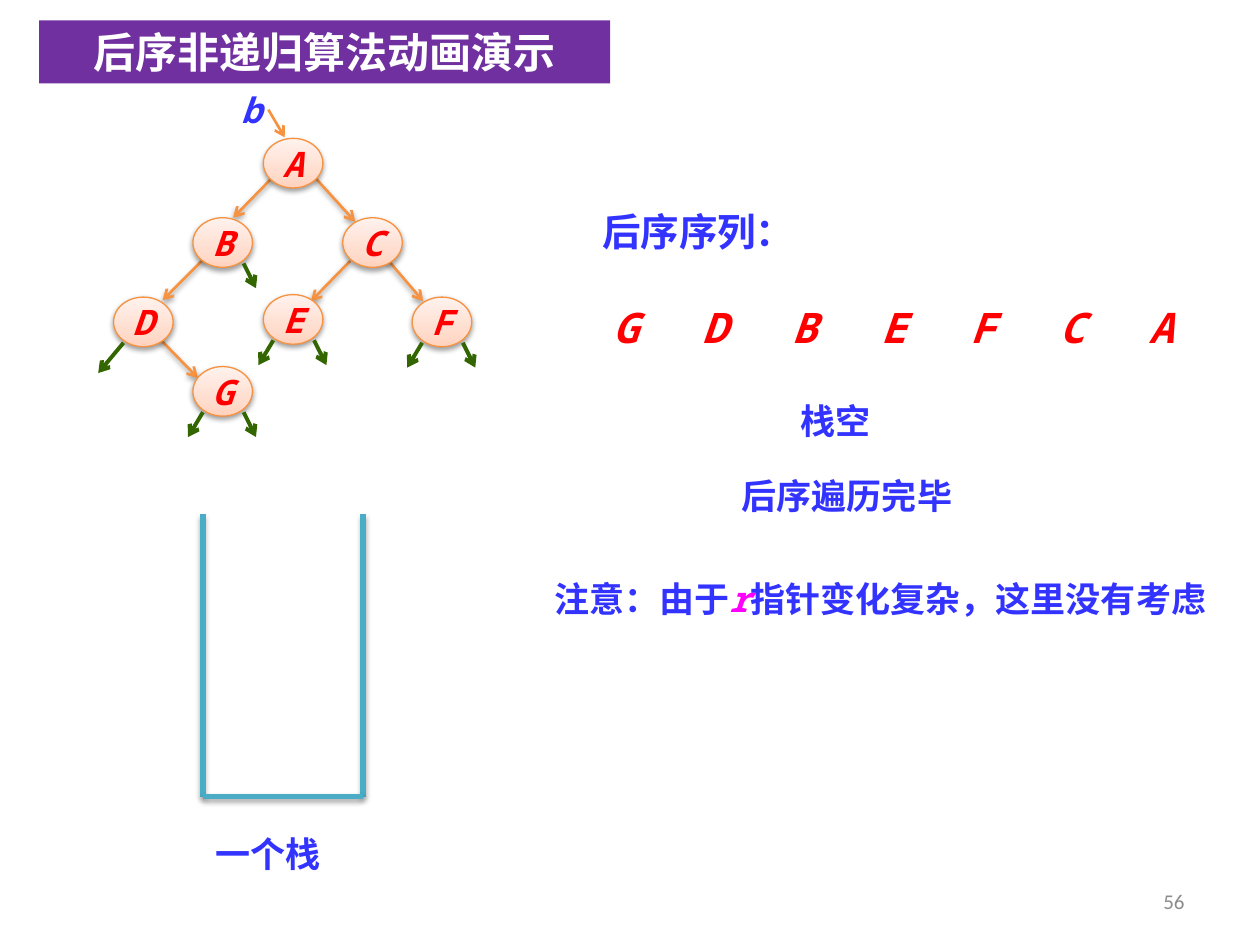
from copy import deepcopy

from lxml.etree import SubElement
from pptx import Presentation
from pptx.dml.color import RGBColor
from pptx.enum.shapes import MSO_CONNECTOR, MSO_SHAPE
from pptx.enum.text import MSO_ANCHOR, MSO_AUTO_SIZE, PP_ALIGN
from pptx.oxml.ns import qn
from pptx.util import Cm, Pt

MONO = "Noto Sans Mono"
BLUE, RED, MAGENTA = "3333FF", "FF0000", "FF00FF"
ORANGE, GREEN, TEAL = "F69240", "336600", "4BACC6"
NODE_STOPS = [(0, "FFD2BD"), (0.35, "FFDED0"), (1, "FFF2ED")]
INSET = 0.25

# All lengths are in centimetres.
NODE_W, NODE_H = 1.2, 1.0
nodes = {
    "A": (5.31, 2.79),
    "B": (3.89, 4.39),
    "C": (6.91, 4.39),
    "D": (2.29, 5.99),
    "E": (5.31, 5.94),
    "F": (8.31, 5.99),
    "G": (3.89, 7.39),
}
tree_links = [
    (5.49, 3.58, 4.7, 4.39),    # A to B
    (6.35, 3.58, 7.16, 4.47),   # A to C
    (4.17, 5.16, 3.28, 6.05),   # B to D
    (7.06, 5.26, 6.27, 6.07),   # C to E
    (7.75, 5.16, 8.53, 6.07),   # C to F
    (3.2, 6.81, 3.99, 7.62),    # D to G
]
root_pointer = (5.41, 2.21, 5.74, 2.77)

# Empty child pointers: start offset inside the node, then run and drop
LEFT, RIGHT = (0.2, 0.92, -0.3, 0.5), (1.02, 0.92, 0.25, 0.5)
WIDE_LEFT = (0.2, 0.92, -0.51, 0.61)
empty_links = [("B", RIGHT), ("D", WIDE_LEFT), ("G", LEFT), ("G", RIGHT),
               ("E", LEFT), ("E", RIGHT), ("F", LEFT), ("F", RIGHT)]

STACK_LEFT, STACK_RIGHT, STACK_TOP, STACK_BOTTOM = 4.09, 7.32, 10.36, 16.06

postorder = "GDBEFCA"
ORDER_LEFT, ORDER_TOP, ORDER_STEP = 12.01, 6.07, 1.8

labels = [
    ("一个栈", (4.09, 16.66, 3.2, 1.12), {}),
    ("后序序列：", (11.68, 4.06, 4.8, 1.19), {"size": 22, "align": PP_ALIGN.CENTER}),
    ("后序遍历完毕", (13.28, 9.45, 7.59, 1.12), {"align": PP_ALIGN.CENTER}),
    ("b", (4.57, 1.78, 1, 0.86),
     {"italic": True, "inset": 0, "align": PP_ALIGN.CENTER}),
    ("栈空", (15.88, 7.92, 2.6, 1.12), {}),
    ([("注意：由于", {}), ("r", {"color": MAGENTA, "italic": True}),
      ("指针变化复杂，这里没有考虑", {})], (10.92, 11.51, 13.69, 1.12), {}),
    ("56", (18.21, 17.65, 5.92, 1.02),
     {"size": 12, "font": "Calibri", "color": "8C8C8C", "bold": False,
      "align": PP_ALIGN.RIGHT, "anchor": MSO_ANCHOR.MIDDLE}),
]


def rgb(hex_color):
    return RGBColor.from_string(hex_color)


def write(shape, content, align=PP_ALIGN.LEFT, anchor=MSO_ANCHOR.TOP,
          inset=INSET, wrap=True, **text_format):
    """Fill a shape with a string or with (text, format) runs."""
    frame = shape.text_frame
    frame.auto_size = MSO_AUTO_SIZE.NONE
    frame.word_wrap = wrap
    frame.vertical_anchor = anchor
    frame.margin_left = frame.margin_right = Cm(inset)
    frame.margin_top = frame.margin_bottom = Cm(inset / 2)
    paragraph = frame.paragraphs[0]
    paragraph.alignment = align
    runs = [(content, {})] if isinstance(content, str) else content
    for text, changes in runs:
        look = {"size": 20, "font": MONO, "color": BLUE, "bold": True,
                "italic": False, **text_format, **changes}
        run = paragraph.add_run()
        run.text = text
        run.font.size = Pt(look["size"])
        run.font.name = look["font"]
        run.font.bold = look["bold"]
        run.font.italic = look["italic"]
        run.font.color.rgb = rgb(look["color"])


def set_shadow(shape, opacity=None, distance=1.6):
    """Give a soft shadow straight below, or none without an opacity."""
    effects = SubElement(shape._element.spPr, qn("a:effectLst"))
    if opacity:
        shadow = SubElement(effects, qn("a:outerShdw"), blurRad=str(Pt(3.1)),
                            dist=str(Pt(distance)), dir="5400000", rotWithShape="0")
        black = SubElement(shadow, qn("a:srgbClr"), val="000000")
        SubElement(black, qn("a:alpha"), val=str(opacity * 1000))


def add_line(slide, ends, color, width, arrow=True, **shadow):
    line = slide.shapes.add_connector(MSO_CONNECTOR.STRAIGHT, *map(Cm, ends))
    line.line.color.rgb = rgb(color)
    line.line.width = Pt(width)
    if arrow:
        SubElement(line.line._get_or_add_ln(), qn("a:tailEnd"), type="arrow")
    set_shadow(line, **shadow)


def add_node(slide, letter, left, top):
    node = slide.shapes.add_shape(MSO_SHAPE.OVAL, *map(Cm, (left, top, NODE_W, NODE_H)))
    node.fill.gradient()
    node.fill.gradient_angle = 90
    stop_list = node._element.spPr.find(".//" + qn("a:gsLst"))
    stop_list.append(deepcopy(stop_list[0]))
    for stop, (position, color) in zip(node.fill.gradient_stops, NODE_STOPS):
        stop.position = position
        stop.color.rgb = rgb(color)
    node.line.color.rgb = rgb(ORANGE)
    node.line.width = Pt(0.75)
    set_shadow(node, opacity=38)
    write(node, letter, color=RED, italic=True, wrap=False,
          align=PP_ALIGN.CENTER, anchor=MSO_ANCHOR.MIDDLE)


def add_label(slide, content, box, **text_format):
    write(slide.shapes.add_textbox(*map(Cm, box)), content, **text_format)


def main():
    prs = Presentation()
    prs.slide_width, prs.slide_height = Cm(25.4), Cm(19.05)
    slide = prs.slides.add_slide(prs.slide_layouts[5])

    title = slide.shapes.title
    title.left, title.top, title.width, title.height = map(Cm, (0.79, 0.41, 11.51, 1.27))
    title.fill.solid()
    title.fill.fore_color.rgb = rgb("7030A0")
    write(title, "后序非递归算法动画演示", size=24, font="Times New Roman",
          color="FFFFFF", align=PP_ALIGN.CENTER)

    for ends in tree_links:
        add_line(slide, ends, ORANGE, 1.5, opacity=38)
    for letter, corner in nodes.items():
        add_node(slide, letter, *corner)
    for letter, (dx, dy, run, drop) in empty_links:
        x, y = nodes[letter][0] + dx, nodes[letter][1] + dy
        add_line(slide, (x, y, x + run, y + drop), GREEN, 2.25)
    add_line(slide, root_pointer, ORANGE, 1.5)

    stack_sides = [
        (STACK_LEFT, STACK_TOP, STACK_LEFT, STACK_BOTTOM),
        (STACK_RIGHT, STACK_TOP, STACK_RIGHT, STACK_BOTTOM),
        (STACK_LEFT, STACK_BOTTOM, STACK_RIGHT, STACK_BOTTOM),
    ]
    for side in stack_sides:
        add_line(slide, side, TEAL, 3, arrow=False, opacity=35, distance=1.8)

    for i, letter in enumerate(postorder):
        add_label(slide, letter, (ORDER_LEFT + i * ORDER_STEP, ORDER_TOP, 1.2, 1.02),
                  size=24, color=RED, italic=True, inset=0, align=PP_ALIGN.CENTER)
    for content, box, text_format in labels:
        add_label(slide, content, box, **text_format)

    prs.save("out.pptx")


if __name__ == "__main__":
    main()
